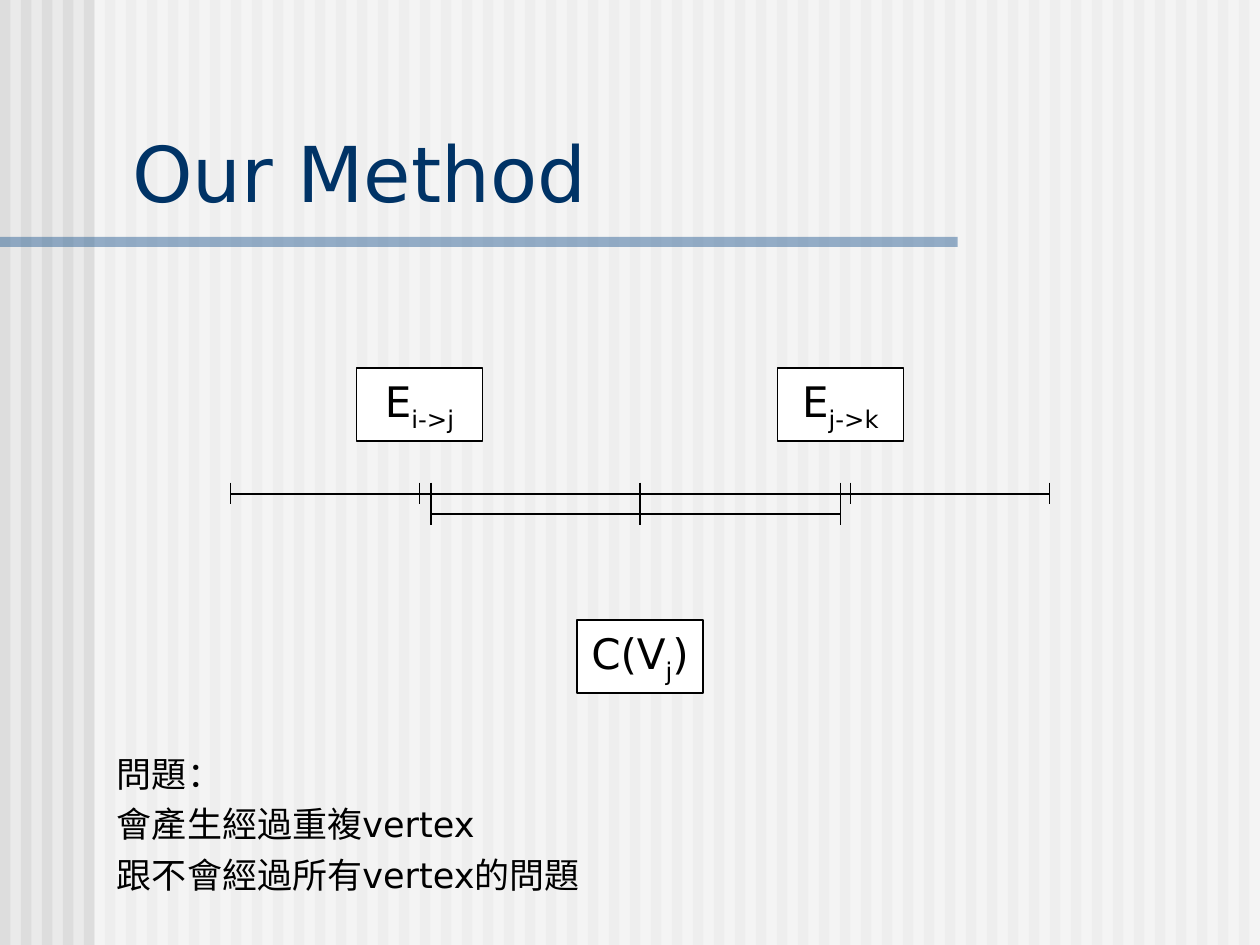
from dataclasses import dataclass

from lxml.etree import SubElement
from pptx import Presentation
from pptx.dml.color import RGBColor
from pptx.enum.shapes import MSO_CONNECTOR, MSO_SHAPE
from pptx.enum.text import MSO_ANCHOR, PP_ALIGN
from pptx.oxml.ns import qn
from pptx.shapes.autoshape import Shape
from pptx.slide import Slide
from pptx.text.text import Font
from pptx.util import Inches, Pt


@dataclass(frozen=True)
class Theme:
    font: str = "DejaVu Sans"
    background: str = "EAEAEA"
    stripe: str = "DDDDDD"
    white: str = "FFFFFF"
    black: str = "000000"
    title: str = "003366"
    rule: str = "336699"
    title_size: int = 44
    label_size: int = 24
    note_size: int = 20
    line_width: float = 0.75


@dataclass(frozen=True)
class Label:
    """A boxed term: base text, subscript, and text after the subscript."""
    left: float
    top: float
    base: str
    subscript: str
    after: str = ""


@dataclass(frozen=True)
class Scale:
    """A horizontal line through its end points, with vertical ticks."""
    line_points: tuple[float, ...]
    ticks: tuple[float, ...]
    top: float
    middle: float
    bottom: float


THEME = Theme()
STRIPE_COUNT = 60
STRIPE_PITCH = 10 / STRIPE_COUNT
LABELS = (
    Label(4.58, 4.92, "C(V", "j", ")"),
    Label(2.83, 2.92, "E", "i->j"),
    Label(6.17, 2.92, "E", "j->k"),
)
SCALES = (
    Scale((1.83, 5.08, 8.33), (1.83, 3.33, 3.42, 5.08, 6.67, 6.75, 8.33), 3.83, 3.92, 4),
    Scale((3.42, 6.67), (3.42, 5.08, 6.67), 4, 4.08, 4.17),
)
NOTES = ("問題：", "會產生經過重複vertex", "跟不會經過所有vertex的問題")


def style_font(font: Font, size: int, color: str) -> None:
    font.name = THEME.font
    font.size = Pt(size)
    font.color.rgb = RGBColor.from_string(color)


def add_rectangle(page: Slide, left: float, top: float, width: float, height: float,
                  fill: str, opacity: int = 100) -> Shape:
    box = page.shapes.add_shape(MSO_SHAPE.RECTANGLE, Inches(left), Inches(top),
                                Inches(width), Inches(height))
    box.shadow.inherit = False
    box.fill.solid()
    box.fill.fore_color.rgb = RGBColor.from_string(fill)
    box.line.fill.background()
    if opacity < 100:
        color = box._element.spPr.find(qn("a:solidFill"))[0]
        SubElement(color, qn("a:alpha")).set("val", str(opacity * 1000))
    return box


def add_line(page: Slide, x1: float, y1: float, x2: float, y2: float) -> None:
    line = page.shapes.add_connector(MSO_CONNECTOR.STRAIGHT, Inches(x1), Inches(y1),
                                     Inches(x2), Inches(y2))
    line.line.color.rgb = RGBColor.from_string(THEME.black)
    line.line.width = Pt(THEME.line_width)
    SubElement(line._element.spPr, qn("a:effectLst"))


def add_scale(page: Slide, scale: Scale) -> None:
    for start, end in zip(scale.line_points, scale.line_points[1:]):
        add_line(page, start, scale.middle, end, scale.middle)
    for tick in scale.ticks:
        add_line(page, tick, scale.top, tick, scale.bottom)


def add_label(page: Slide, label: Label) -> None:
    box = add_rectangle(page, label.left, label.top, 1, 0.58, THEME.white)
    box.line.color.rgb = RGBColor.from_string(THEME.black)
    box.line.width = Pt(THEME.line_width)
    box.text_frame.word_wrap = False
    box.text_frame.vertical_anchor = MSO_ANCHOR.MIDDLE
    para = box.text_frame.paragraphs[0]
    para.alignment = PP_ALIGN.CENTER
    for text, baseline in ((label.base, 0), (label.subscript, -25), (label.after, 0)):
        if text:
            span = para.add_run()
            span.text = text
            style_font(span.font, THEME.label_size, THEME.black)
            if baseline:
                span._r.get_or_add_rPr().set("baseline", str(baseline * 1000))


def add_text(page: Slide, left: float, top: float, width: float, height: float,
             lines: tuple[str, ...], size: int, color: str,
             anchor: MSO_ANCHOR = MSO_ANCHOR.TOP, space_before: int = 0) -> None:
    box = page.shapes.add_textbox(Inches(left), Inches(top), Inches(width), Inches(height))
    frame = box.text_frame
    frame.word_wrap = True
    frame.vertical_anchor = anchor
    frame.text = "\n".join(lines)
    for index, para in enumerate(frame.paragraphs):
        if index:
            para.space_before = Pt(space_before)
        for span in para.runs:
            style_font(span.font, size, color)


def main() -> None:
    deck = Presentation()
    deck.slide_width, deck.slide_height = Inches(10), Inches(7.5)
    page = deck.slides.add_slide(deck.slide_layouts[6])

    # Striped background, veiled to the right of the margin
    page.background.fill.solid()
    page.background.fill.fore_color.rgb = RGBColor.from_string(THEME.background)
    for index in range(STRIPE_COUNT):
        add_rectangle(page, index * STRIPE_PITCH, 0, STRIPE_PITCH / 2, 7.5, THEME.stripe)
    add_rectangle(page, 0.75, 0, 9.25, 7.5, THEME.white, opacity=50)

    # Title and its rule
    add_rectangle(page, 0, 1.88, 7.6, 0.08, THEME.rule, opacity=50)
    add_text(page, 0.95, 0.94, 8.93, 0.84, ("Our Method",), THEME.title_size,
             THEME.title, anchor=MSO_ANCHOR.BOTTOM)

    # Edge and vertex scales with their labels
    for scale in SCALES:
        add_scale(page, scale)
    for label in LABELS:
        add_label(page, label)

    # Remaining problem
    add_text(page, 0.83, 5.92, 5.67, 1.24, NOTES, THEME.note_size, THEME.black,
             space_before=5)

    deck.save("out.pptx")


if __name__ == "__main__":
    main()
